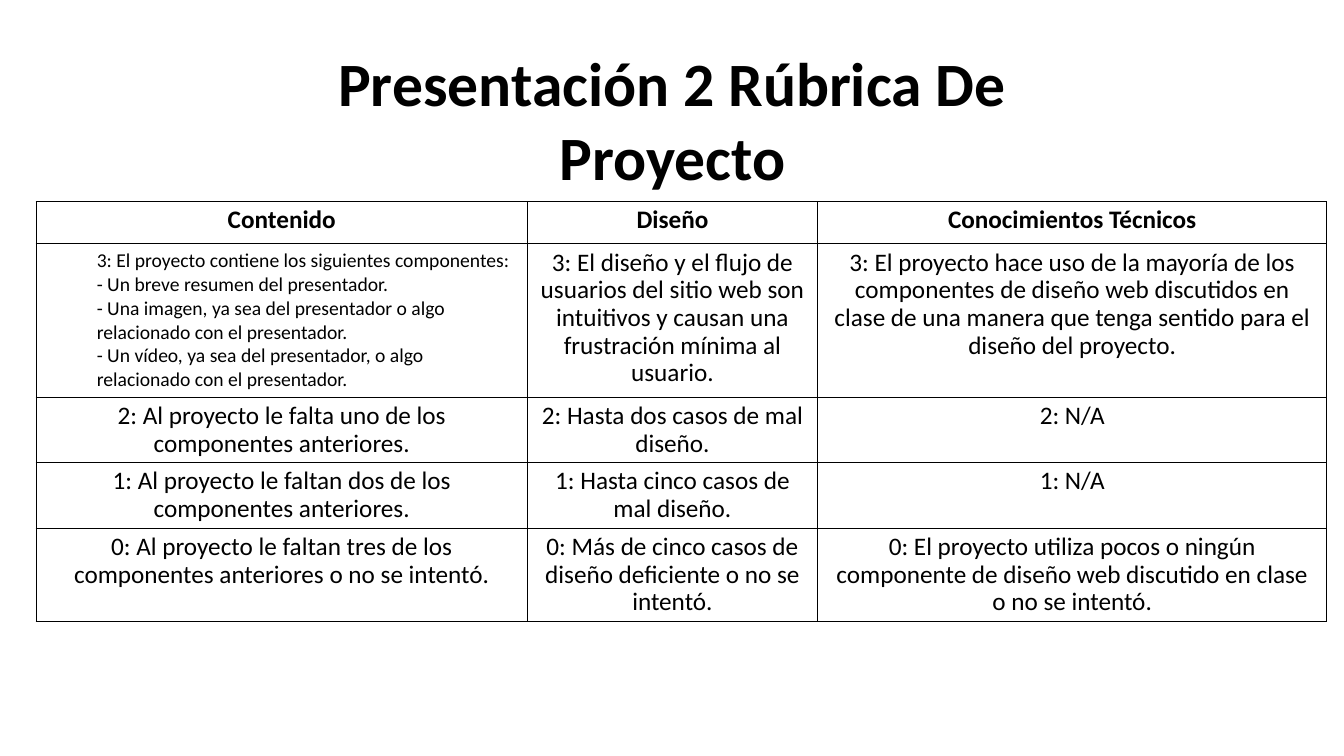
from lxml.etree import SubElement
from pptx import Presentation
from pptx.dml.color import RGBColor
from pptx.enum.text import PP_ALIGN
from pptx.oxml.ns import qn
from pptx.util import Inches, Pt


def add_run(p, text, size, bold=False, color="000000"):
    r = p.add_run()
    r.text = text
    r.font.name = "Calibri"
    r.font.size = Pt(size)
    r.font.bold = bold
    r.font.color.rgb = RGBColor.from_string(color)


def add_borders(cell, color="000000"):
    tcPr = cell._tc.get_or_add_tcPr()
    for side in ("a:lnL", "a:lnR", "a:lnT", "a:lnB"):
        ln = SubElement(tcPr, qn(side), w=str(Pt(1)))
        fill = SubElement(ln, qn("a:solidFill"))
        SubElement(fill, qn("a:srgbClr"), val=color)


prs = Presentation()
prs.slide_width = Inches(13.33)
prs.slide_height = Inches(7.5)
slide = prs.slides.add_slide(prs.slide_layouts[6])

col_widths = [4.87, 2.88, 5.05]
row_height = 0.42
rubric = [
    ["Contenido", "Diseño", "Conocimientos Técnicos"],
    [
        [
            "3: El proyecto contiene los siguientes componentes:",
            "- Un breve resumen del presentador.",
            "- Una imagen, ya sea del presentador o algo relacionado con el presentador.",
            "- Un vídeo, ya sea del presentador, o algo relacionado con el presentador.",
        ],
        "3: El diseño y el flujo de usuarios del sitio web son intuitivos "
        "y causan una frustración mínima al usuario.",
        "3: El proyecto hace uso de la mayoría de los componentes de diseño web "
        "discutidos en clase de una manera que tenga sentido para el diseño del proyecto.",
    ],
    [
        "2: Al proyecto le falta uno de los componentes anteriores.",
        "2: Hasta dos casos de mal diseño.",
        "2: N/A",
    ],
    [
        "1: Al proyecto le faltan dos de los componentes anteriores.",
        "1: Hasta cinco casos de mal diseño.",
        "1: N/A",
    ],
    [
        "0: Al proyecto le faltan tres de los componentes anteriores o no se intentó.",
        "0: Más de cinco casos de diseño deficiente o no se intentó.",
        "0: El proyecto utiliza pocos o ningún componente de diseño web "
        "discutido en clase o no se intentó.",
    ],
]

table = slide.shapes.add_table(
    len(rubric), len(col_widths), Inches(0.36), Inches(2),
    Inches(sum(col_widths)), Inches(row_height * len(rubric)),
).table
table.first_row = False
table.horz_banding = False
for col, width in zip(table.columns, col_widths):
    col.width = Inches(width)

for i, row in enumerate(rubric):
    table.rows[i].height = Inches(row_height)
    for j, content in enumerate(row):
        cell = table.cell(i, j)
        add_borders(cell)
        cell.fill.background()
        tf = cell.text_frame
        is_list = isinstance(content, list)
        for k, text in enumerate(content if is_list else [content]):
            p = tf.add_paragraph() if k else tf.paragraphs[0]
            if is_list:
                p.level = 1
                pPr = p._p.get_or_add_pPr()
                pPr.set("marL", str(Inches(0.5)))
                pPr.set("indent", "0")
            else:
                p.alignment = PP_ALIGN.CENTER
                p.line_spacing = 0.9
            add_run(p, text, 14 if is_list else 18, bold=i == 0)

title = slide.shapes.add_textbox(Inches(2.07), Inches(0.4), Inches(9.2), Inches(0.84))
tf = title.text_frame
tf.word_wrap = True
tf.margin_left = tf.margin_right = Inches(0.2)
p = tf.paragraphs[0]
p.alignment = PP_ALIGN.CENTER
add_run(p, "Presentación 2 Rúbrica De Proyecto", 44, bold=True)

prs.save("out.pptx")
